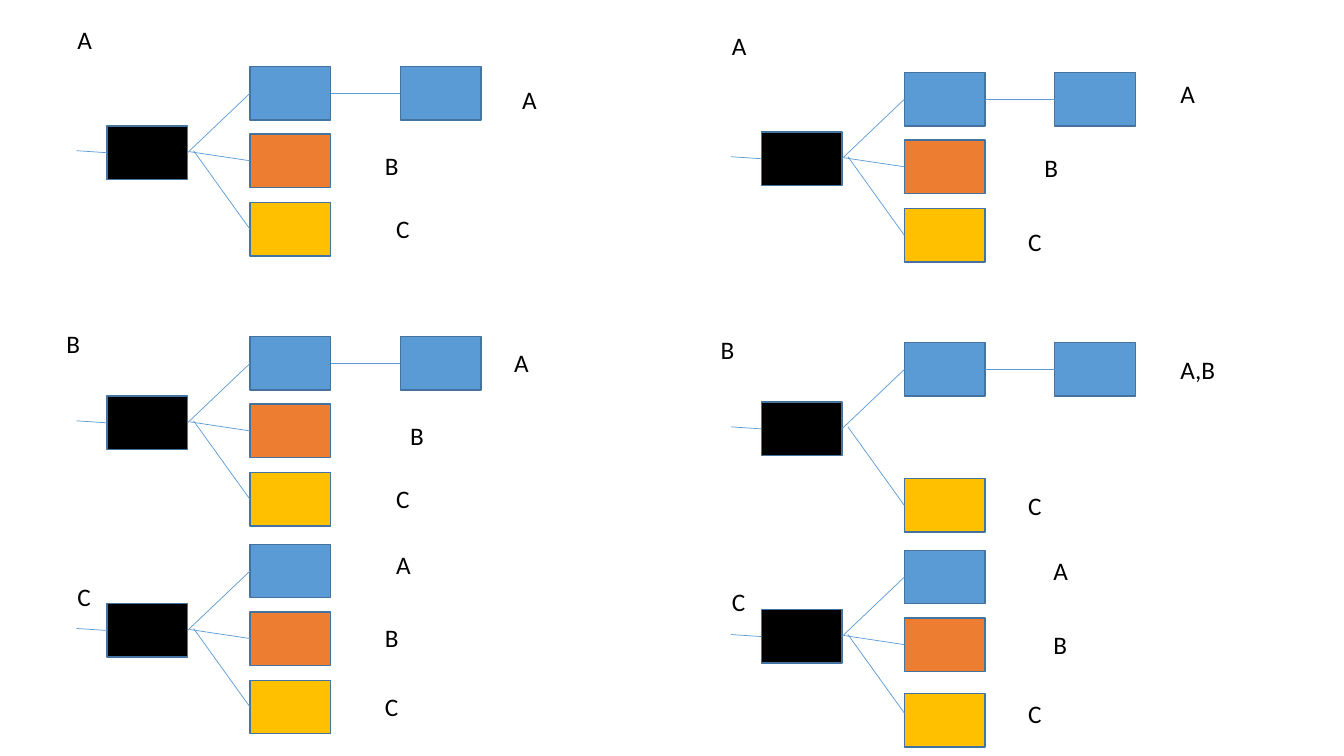
from lxml import etree
from pptx import Presentation
from pptx import util as u
from pptx.dml.color import RGBColor
from pptx.enum import shapes, text
from pptx.oxml.ns import qn

BOX_WIDTH, BOX_HEIGHT = 0.8, 0.53
ROOT_DROP = 0.59
BRANCH_COLUMN, LEAF_COLUMN = 1.42, 2.91
BRANCH_ROWS = {"blue": 0, "orange": 0.67, "yellow": 1.35}
LINE_STARTS = {"blue": (0.8, 0), "orange": (0.82, -0.01), "yellow": (0.86, -0.02)}
COLOURS = {"black": "000000", "blue": "5B9BD5", "orange": "ED7D31", "yellow": "FFC000"}
OUTLINE = "43739E"
LEFT_SIDE, RIGHT_SIDE = 1, 3
ALL = ("blue", "orange", "yellow")

TREES = [
    (1.06, 0.66, ALL, True, 0),
    (1.06, 3.34, ALL, True, 0),
    (1.06, 5.4, ALL, False, 0),
    (7.55, 0.72, ALL, True, 0),
    (7.55, 3.4, ("blue", "yellow"), True, 0),
    (7.55, 5.46, ALL, False, 0.07),
]

LABELS = [
    ("A", 0.67, 0.19), ("A", 5.08, 0.79), ("B", 3.72, 1.44), ("C", 3.83, 2.07),
    ("B", 0.56, 3.21), ("A", 5, 3.4), ("B", 3.97, 4.12), ("C", 3.83, 4.75),
    ("C", 0.67, 5.72), ("A", 3.83, 5.4), ("B", 3.72, 6.12), ("C", 3.72, 6.81),
    ("A", 7.16, 0.25), ("A", 11.61, 0.73), ("B", 10.26, 1.46), ("C", 10.1, 2.2),
    ("B", 7.05, 3.27), ("A,B", 11.61, 3.47), ("C", 10.1, 4.82),
    ("C", 7.16, 5.77), ("A", 10.35, 5.46), ("B", 10.35, 6.19), ("C", 10.1, 6.88),
]


def colour(value):
    return RGBColor.from_string(value)


def add_box(page, left, top, fill):
    box = page.shapes.add_shape(
        shapes.MSO_SHAPE.RECTANGLE,
        u.Inches(left), u.Inches(top), u.Inches(BOX_WIDTH), u.Inches(BOX_HEIGHT))
    box.shadow.inherit = False
    box.fill.solid()
    box.fill.fore_color.rgb = colour(COLOURS[fill])
    box.line.color.rgb = colour(OUTLINE)
    box.line.width = u.Pt(1)
    return box


def add_line(page, start, end, start_joint=None, end_joint=None):
    line = page.shapes.add_connector(
        shapes.MSO_CONNECTOR.STRAIGHT, *(u.Inches(value) for value in (*start, *end)))
    line.line.color.rgb = colour(COLOURS["blue"])
    line.line.width = u.Pt(0.5)
    etree.SubElement(line.element.spPr, qn("a:effectLst"))
    if start_joint:
        line.begin_connect(*start_joint)
    if end_joint:
        line.end_connect(*end_joint)


def add_label(page, wording, left, top):
    box = page.shapes.add_textbox(
        u.Inches(left), u.Inches(top), u.Inches(0.7), u.Inches(0.4))
    box.text_frame.word_wrap = True
    box.text_frame.auto_size = text.MSO_AUTO_SIZE.SHAPE_TO_FIT_TEXT
    para = box.text_frame.paragraphs[0]
    para.text = wording
    para.font.name = "Calibri"
    para.font.size = u.Pt(18)
    para.font.color.rgb = colour("000000")


def add_tree(page, left, top, branches, has_leaf, yellow_drop):
    half = BOX_HEIGHT / 2
    branch_left = left + BRANCH_COLUMN
    root_middle = top + ROOT_DROP + half
    root = add_box(page, left, top + ROOT_DROP, "black")
    add_line(page, (left, root_middle), (left - 0.3, root_middle - 0.02), (root, LEFT_SIDE))
    for name in branches:
        row = top + BRANCH_ROWS[name]
        drop = yellow_drop if name == "yellow" else 0
        branch = add_box(page, branch_left, row + drop, name)
        across, down = LINE_STARTS[name]
        add_line(page, (left + across, root_middle + down), (branch_left, row + half),
                 (root, RIGHT_SIDE) if name == "blue" else None,
                 None if drop else (branch, LEFT_SIDE))
        if name == "blue" and has_leaf:
            leaf = add_box(page, left + LEAF_COLUMN, row, name)
            add_line(page, (branch_left + BOX_WIDTH, row + half),
                     (left + LEAF_COLUMN, row + half),
                     (branch, RIGHT_SIDE), (leaf, LEFT_SIDE))


def main():
    deck = Presentation()
    deck.slide_width, deck.slide_height = u.Inches(13.33), u.Inches(7.5)
    page = deck.slides.add_slide(deck.slide_layouts[6])
    for tree in TREES:
        add_tree(page, *tree)
    for label in LABELS:
        add_label(page, *label)
    deck.save("out.pptx")


if __name__ == "__main__":
    main()
